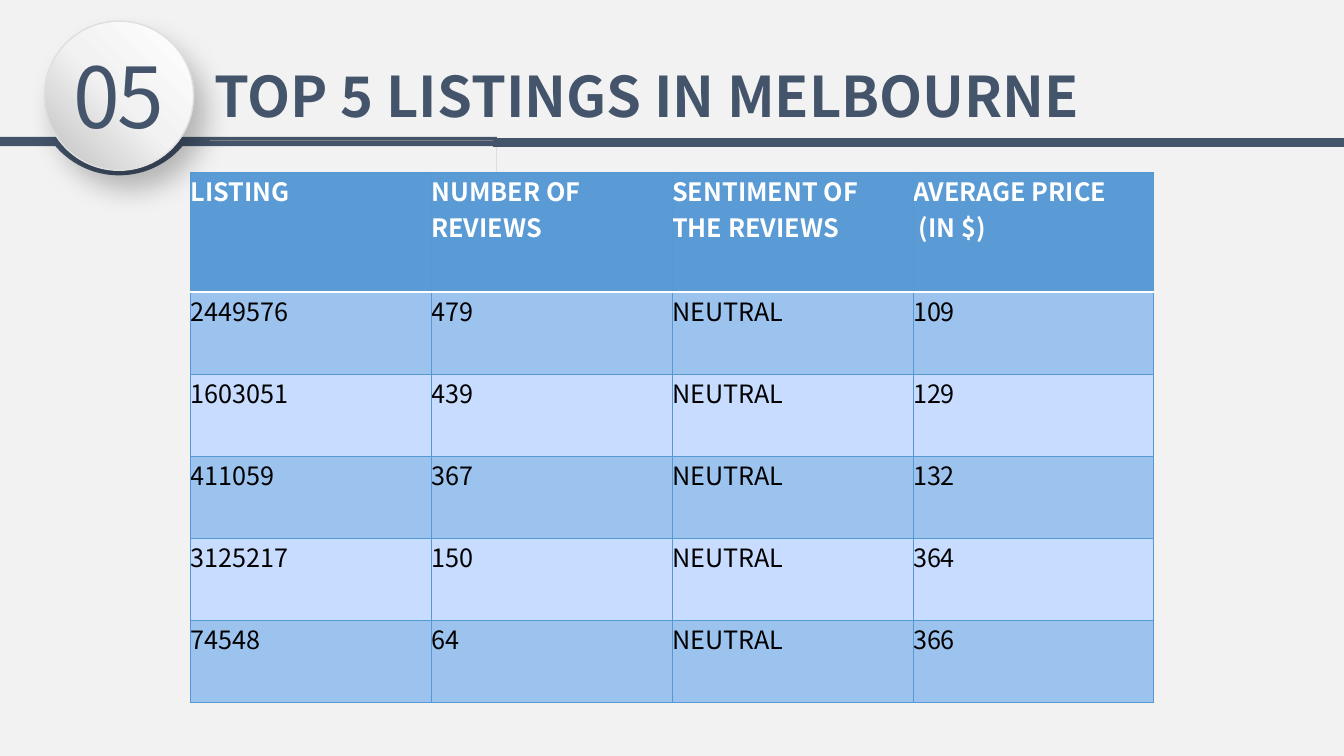
from math import asin, cos, pi, sin

from lxml.etree import SubElement
from pptx import Presentation
from pptx.dml.color import RGBColor
from pptx.enum.shapes import MSO_CONNECTOR, MSO_SHAPE
from pptx.enum.text import MSO_AUTO_SIZE, PP_ALIGN
from pptx.oxml.ns import qn
from pptx.util import Cm, Pt

COLORS = {
    "background": "F2F2F2", "slate": "44546A", "gray": "808080", "rim": "DFDFDF",
    "black": "000000", "white": "FFFFFF", "header": "5B9BD5", "border": "5698D3",
    "dark band": "9CC2EE", "light band": "C7DCFF",
}
BADGE_STOPS = [(0, "BFBFBF"), (50, "F2F2F2"), (100, "FFFFFF")]
ROWS = [
    ("LISTING", "NUMBER OF REVIEWS", "SENTIMENT OF THE REVIEWS", "AVERAGE PRICE\v (IN $)"),
    ("2449576", "479", "NEUTRAL", "109"),
    ("1603051", "439", "NEUTRAL", "129"),
    ("411059", "367", "NEUTRAL", "132"),
    ("3125217", "150", "NEUTRAL", "364"),
    ("74548", "64", "NEUTRAL", "366"),
]


def rgb(name):
    return RGBColor.from_string(COLORS[name])


def add_color(parent, value, alpha=None):
    color = SubElement(parent, qn("a:srgbClr"), val=value)
    if alpha is not None:
        SubElement(color, qn("a:alpha"), val=str(alpha * 1000))


class SlideBuilder:
    font = "Noto Sans CJK SC"

    def __init__(self, prs):
        self.s = prs.slides.add_slide(prs.slide_layouts[6])
        fill = self.s.background.fill
        fill.solid()
        fill.fore_color.rgb = rgb("background")

    def style(self, p, size, color, bold=False):
        p.font.name, p.font.size, p.font.bold = self.font, Pt(size), bold
        p.font.color.rgb = rgb(color)

    def text(self, x, y, w, h, text, size, bold=False, wrap=False,
             align=PP_ALIGN.LEFT, spacing=0):
        tf = self.s.shapes.add_textbox(Cm(x), Cm(y), Cm(w), Cm(h)).text_frame
        tf.word_wrap = wrap
        tf.auto_size = MSO_AUTO_SIZE.SHAPE_TO_FIT_TEXT
        tf.margin_left = tf.margin_right = tf.margin_top = tf.margin_bottom = Cm(0.13)
        p = tf.paragraphs[0]
        p.alignment = align
        r = p.add_run()
        r.text = text
        self.style(p, size, "slate", bold)
        if spacing:
            r.font._element.set("spc", str(int(spacing * 100)))

    def line(self, x1, x2, y, color, width):
        c = self.s.shapes.add_connector(MSO_CONNECTOR.STRAIGHT, Cm(x1), Cm(y), Cm(x2), Cm(y))
        c.line.color.rgb = rgb(color)
        c.line.width = Pt(width)
        SubElement(c._element.spPr, qn("a:effectLst"))

    def band(self, right, top, bottom, tail, cx, cy, radius):
        """Bar from the left edge with a round bulge below the badge and a hairline at its end."""
        start = asin((bottom - cy) / radius)
        steps = 48
        angles = [start + (pi - 2 * start) * i / steps for i in range(steps + 1)]
        arc = [(cx + radius * cos(a), cy + radius * sin(a)) for a in angles]
        points = [(right, tail), (right, bottom), *arc, (0, bottom), (0, top)]
        builder = self.s.shapes.build_freeform(Cm(right), Cm(top))
        builder.add_line_segments([(Cm(x), Cm(y)) for x, y in points], close=True)
        sp = builder.convert_to_shape()
        sp.shadow.inherit = False
        sp.fill.solid()
        sp.fill.fore_color.rgb = rgb("slate")
        sp.line.fill.background()

    def badge(self, x, y, size):
        sp = self.s.shapes.add_shape(MSO_SHAPE.OVAL, Cm(x), Cm(y), Cm(size), Cm(size))
        sp.rotation = 270
        sp.fill.gradient()
        sp.fill.gradient_angle = 315
        stops = sp._element.spPr.find(qn("a:gradFill")).find(qn("a:gsLst"))
        stops.clear()
        for position, value in BADGE_STOPS:
            add_color(SubElement(stops, qn("a:gs"), pos=str(position * 1000)), value)
        sp.line.color.rgb = rgb("rim")
        sp.line.width = Pt(1)
        sp.shadow.inherit = False
        effects = sp._element.spPr.find(qn("a:effectLst"))
        shadow = SubElement(effects, qn("a:outerShdw"), blurRad=str(Pt(20)), dist=str(Pt(15)),
                            dir=str(59 * 60000), algn="ctr", rotWithShape="0")
        add_color(shadow, COLORS["black"], 25)

    def border(self, cell, side, color, width):
        ln = SubElement(cell._tc.get_or_add_tcPr(), qn("a:ln" + side), w=str(Pt(width)))
        add_color(SubElement(ln, qn("a:solidFill")), COLORS[color])

    def cell(self, cell, text, row):
        header = row == 0
        white_rule = ("white", 2)
        thin_rule = ("border", 0.75)
        self.border(cell, "L", *thin_rule)
        self.border(cell, "R", *thin_rule)
        self.border(cell, "T", *(white_rule if row == 1 else thin_rule))
        self.border(cell, "B", *(white_rule if header else thin_rule))
        cell.fill.solid()
        band = "dark band" if row % 2 else "light band"
        cell.fill.fore_color.rgb = rgb("header" if header else band)
        cell.margin_left = cell.margin_right = cell.margin_top = cell.margin_bottom = 0
        cell.text_frame.text = text
        self.style(cell.text_frame.paragraphs[0], 18, "white" if header else "black", header)

    def table(self, x, y, col_width, header_height, row_height, rows):
        n_cols = len(rows[0])
        height = header_height + row_height * (len(rows) - 1)
        table = self.s.shapes.add_table(len(rows), n_cols, Cm(x), Cm(y),
                                        Cm(col_width * n_cols), Cm(height)).table
        table.horz_banding = False
        for column in table.columns:
            column.width = Cm(col_width)
        for i, values in enumerate(rows):
            table.rows[i].height = Cm(row_height if i else header_height)
            for j, value in enumerate(values):
                self.cell(table.cell(i, j), value, i)


def main():
    prs = Presentation()
    prs.slide_width, prs.slide_height = Cm(33.87), Cm(19.05)
    slide = SlideBuilder(prs)
    slide.band(right=12.52, top=3.45, bottom=3.68, tail=4.65, cx=3, cy=2.31, radius=2.11)
    slide.text(5.28, 1.42, 22.5, 1.96, "TOP 5 LISTINGS IN MELBOURNE", 40, bold=True)
    slide.line(5.28, 12.67, 3.53, "gray", 0.5)
    slide.badge(1.12, 0.53, 3.76)
    slide.text(1.52, 0.99, 2.95, 2.79, "05", 60, wrap=True,
               align=PP_ALIGN.CENTER, spacing=-1.5)
    slide.line(12.42, 33.87, 3.58, "slate", 6.5)
    slide.table(4.8, 4.34, 6.07, 3.02, 2.07, ROWS)
    prs.save("out.pptx")


if __name__ == "__main__":
    main()
